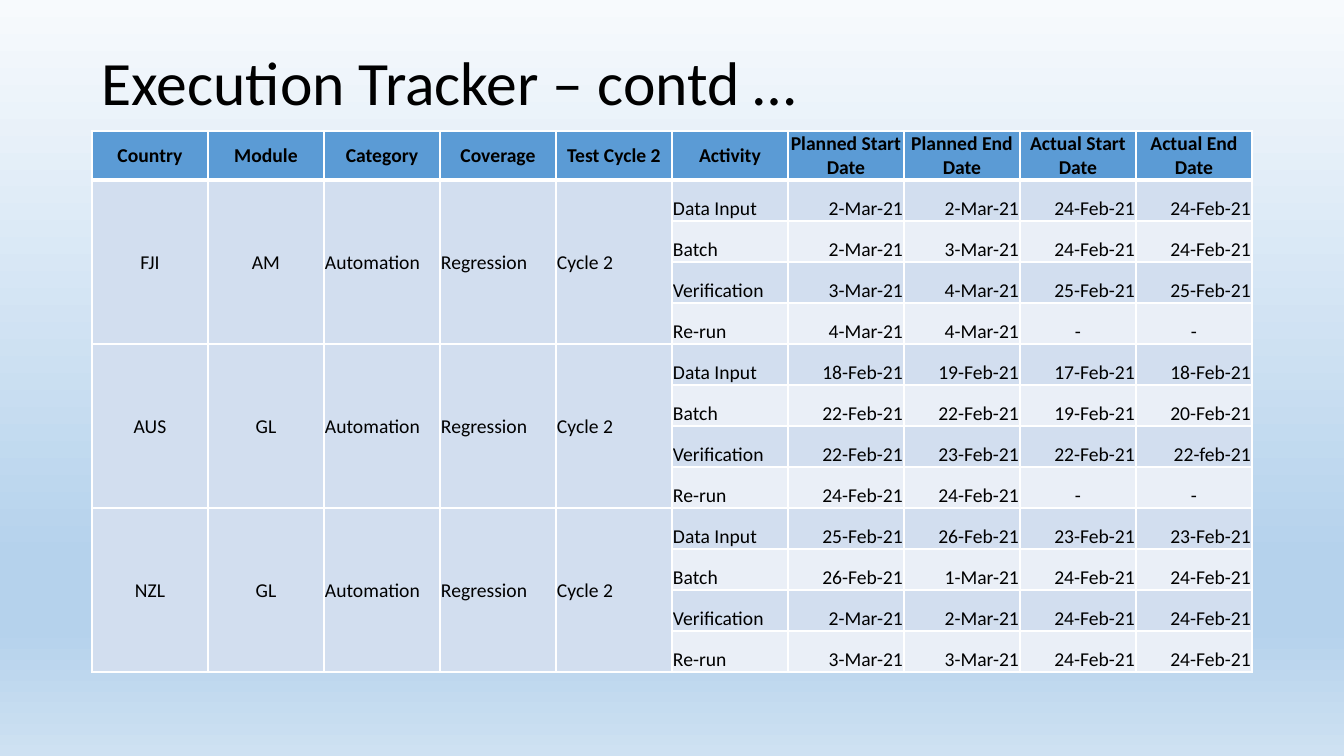
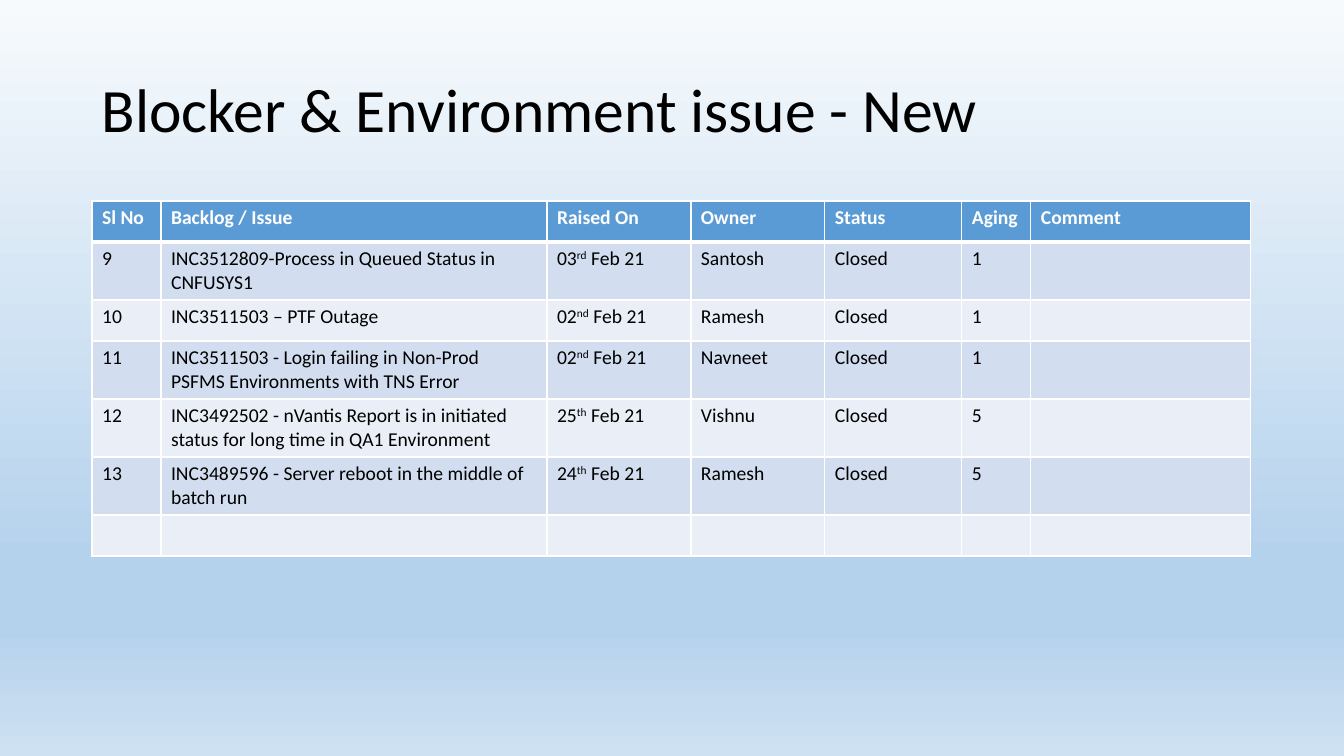
"""Build two test status slides: an execution tracker and an issue list."""
import lxml.etree
import pptx
import pptx.dml.color
import pptx.enum.text
import pptx.oxml.ns
import pptx.util

COLOURS = {"text": "000000", "light": "FFFFFF", "header": "5B9BD5",
           "odd": "D2DEEF", "even": "EAEFF7"}
BACKGROUND_STOPS = [(0, "F7FAFD"), (74, "B5D2EC"), (83, "B5D2EC"), (100, "CEE1F2")]
FONT = "Calibri"

TRACKER_TITLE = "Execution Tracker – contd …"
TRACKER_HEADER = ["Country", "Module", "Category", "Coverage", "Test Cycle 2", "Activity",
                  "Planned Start Date", "Planned End Date", "Actual Start Date", "Actual End Date"]
ACTIVITIES = ["Data Input", "Batch ", "Verification", "Re-run"]
SHARED_SCOPE = ["Automation", "Regression", "Cycle 2"]
TRACKER = [
    ("FJI", "AM", [
        ("2-Mar-21", "2-Mar-21", "24-Feb-21", "24-Feb-21"),
        ("2-Mar-21", "3-Mar-21", "24-Feb-21", "24-Feb-21"),
        ("3-Mar-21", "4-Mar-21", "25-Feb-21", "25-Feb-21"),
        ("4-Mar-21", "4-Mar-21", "-", "-")]),
    ("AUS", "GL", [
        ("18-Feb-21", "19-Feb-21", "17-Feb-21", "18-Feb-21"),
        ("22-Feb-21", "22-Feb-21", "19-Feb-21", "20-Feb-21"),
        ("22-Feb-21", "23-Feb-21", "22-Feb-21", "22-feb-21"),
        ("24-Feb-21", "24-Feb-21", "-", "-")]),
    ("NZL", "GL", [
        ("25-Feb-21", "26-Feb-21", "23-Feb-21", "23-Feb-21"),
        ("26-Feb-21", "1-Mar-21", "24-Feb-21", "24-Feb-21"),
        ("2-Mar-21", "2-Mar-21", "24-Feb-21", "24-Feb-21"),
        ("3-Mar-21", "3-Mar-21", "24-Feb-21", "24-Feb-21")]),
]

ISSUES_TITLE = "Blocker & Environment issue - New"
ISSUES_HEADER = ["Sl No", "Backlog / Issue ", "Raised On ", "Owner", "Status", "Aging", "Comment"]
ISSUES = [
    ("9", "INC3512809-Process in Queued Status in CNFUSYS1",
     ("03", "rd", " Feb 21"), "Santosh ", "Closed", "1", ""),
    ("10", "INC3511503 – PTF Outage",
     ("02", "nd", " Feb 21"), "Ramesh", "Closed", "1", ""),
    ("11", "INC3511503 - Login failing in Non-Prod PSFMS Environments with TNS Error",
     ("02", "nd", " Feb 21"), "Navneet", "Closed", "1", ""),
    ("12", "INC3492502 - nVantis Report is in initiated status for long time in QA1 Environment",
     ("25", "th", " Feb 21"), "Vishnu", "Closed", "5", ""),
    ("13", "INC3489596 - Server reboot in the middle of batch run",
     ("24", "th", " Feb 21"), "Ramesh", "Closed", "5", ""),
    ("",) * len(ISSUES_HEADER),
]
ISSUE_WIDTHS = [69, 386, 144, 134, 137, 69, 220]

SLIDE_WIDTH, SLIDE_HEIGHT = 1344, 756
LEFT, TITLE_TOP, CONTENT_WIDTH = 92, 40, 1160
ROW, TALL_HEADER, TWO_LINES = 41, 49, 58
ALIGN = pptx.enum.text.PP_ALIGN
ANCHOR = pptx.enum.text.MSO_ANCHOR
qn = pptx.oxml.ns.qn


def px(pixels):
    return round(pixels * 914400 / 100.8)


def rgb(name):
    return pptx.dml.color.RGBColor.from_string(COLOURS[name])


def add_span(para, text, size, colour="text", bold=False, raised=False):
    span = para.add_run()
    span.text = text
    span.font.name = FONT
    span.font.size = pptx.util.Pt(size)
    span.font.bold = bold
    span.font.color.rgb = rgb(colour)
    if raised:
        span._r.get_or_add_rPr().set("baseline", "30000")


def add_colour(parent, value):
    lxml.etree.SubElement(parent, qn("a:srgbClr"), val=value)


def set_background(master):
    master.background.fill.gradient()
    gradient = master.element.find(".//" + qn("a:gradFill"))
    for child in list(gradient):
        gradient.remove(child)
    stops = lxml.etree.SubElement(gradient, qn("a:gsLst"))
    for percent, value in BACKGROUND_STOPS:
        add_colour(lxml.etree.SubElement(stops, qn("a:gs"), pos=str(percent * 1000)), value)
    lxml.etree.SubElement(gradient, qn("a:lin"), ang="5400000", scaled="0")


def add_page(deck, title, title_height):
    page = deck.slides.add_slide(deck.slide_layouts[6])
    box = page.shapes.add_textbox(px(LEFT), px(TITLE_TOP), px(CONTENT_WIDTH), px(title_height))
    box.text_frame.word_wrap = True
    box.text_frame.vertical_anchor = ANCHOR.MIDDLE
    para = box.text_frame.paragraphs[0]
    para.line_spacing = 0.9
    add_span(para, title, 44)
    return page


def set_borders(cell, row):
    properties = cell._tc.get_or_add_tcPr()
    points = {"lnL": 1, "lnR": 1, "lnT": 3 if row == 1 else 1, "lnB": 3 if row == 0 else 1}
    for side, width in points.items():
        line = lxml.etree.SubElement(properties, qn("a:" + side), w=str(pptx.util.Pt(width)))
        add_colour(lxml.etree.SubElement(line, qn("a:solidFill")), COLOURS["light"])


def add_grid(page, top, widths, heights, rows, header_colour):
    table = page.shapes.add_table(len(rows), len(widths), px(LEFT), px(top),
                                  px(sum(widths)), px(sum(heights))).table
    table.first_row = table.horz_banding = False
    for column, width in zip(table.columns, widths):
        column.width = px(width)
    for r, (values, height) in enumerate(zip(rows, heights)):
        table.rows[r].height = px(height)
        header = r == 0
        fill = "header" if header else "odd" if r % 2 else "even"
        for c, value in enumerate(values):
            cell = table.cell(r, c)
            set_borders(cell, r)
            cell.fill.solid()
            cell.fill.fore_color.rgb = rgb(fill)
            pieces = value if isinstance(value, tuple) else (value,)
            for position, piece in enumerate(filter(None, pieces)):
                add_span(cell.text_frame.paragraphs[0], piece, 14,
                         header_colour if header else "text", header, position == 1)
    return table


def tracker_rows():
    rows = [TRACKER_HEADER]
    for country, module, schedule in TRACKER:
        scope = [country, module, *SHARED_SCOPE]
        for number, (activity, dates) in enumerate(zip(ACTIVITIES, schedule)):
            rows.append([*(scope if number == 0 else [""] * len(scope)), activity, *dates])
    return rows


def arrange_tracker(table, rows):
    scope_columns = 2 + len(SHARED_SCOPE)
    for r, values in enumerate(rows):
        for c, value in enumerate(values):
            cell = table.cell(r, c)
            cell.margin_left = cell.margin_right = cell.margin_top = px(1)
            cell.margin_bottom = 0
            in_scope = c < scope_columns
            cell.vertical_anchor = ANCHOR.MIDDLE if r == 0 or in_scope else ANCHOR.BOTTOM
            if r == 0 or c < 2 or value == "-":
                align = ALIGN.CENTER
            else:
                align = ALIGN.RIGHT if c > scope_columns else ALIGN.LEFT
            cell.text_frame.paragraphs[0].alignment = align
    for first in range(1, len(rows), len(ACTIVITIES)):
        for c in range(scope_columns):
            table.cell(first, c).merge(table.cell(first + len(ACTIVITIES) - 1, c))


deck = pptx.Presentation()
deck.slide_width, deck.slide_height = px(SLIDE_WIDTH), px(SLIDE_HEIGHT)
set_background(deck.slide_master)

tracker_page = add_page(deck, TRACKER_TITLE, 91)
schedule_rows = tracker_rows()
tracker_widths = [CONTENT_WIDTH // len(TRACKER_HEADER)] * len(TRACKER_HEADER)
tracker_heights = [TALL_HEADER] + [ROW] * (len(schedule_rows) - 1)
tracker_table = add_grid(tracker_page, 131, tracker_widths, tracker_heights, schedule_rows, "text")
arrange_tracker(tracker_table, schedule_rows)

issues_page = add_page(deck, ISSUES_TITLE, 146)
issue_heights = [ROW] + [TWO_LINES if len(issue[1]) > 40 else ROW for issue in ISSUES]
add_grid(issues_page, 201, ISSUE_WIDTHS, issue_heights, [ISSUES_HEADER, *ISSUES], "light")

deck.save("out.pptx")
